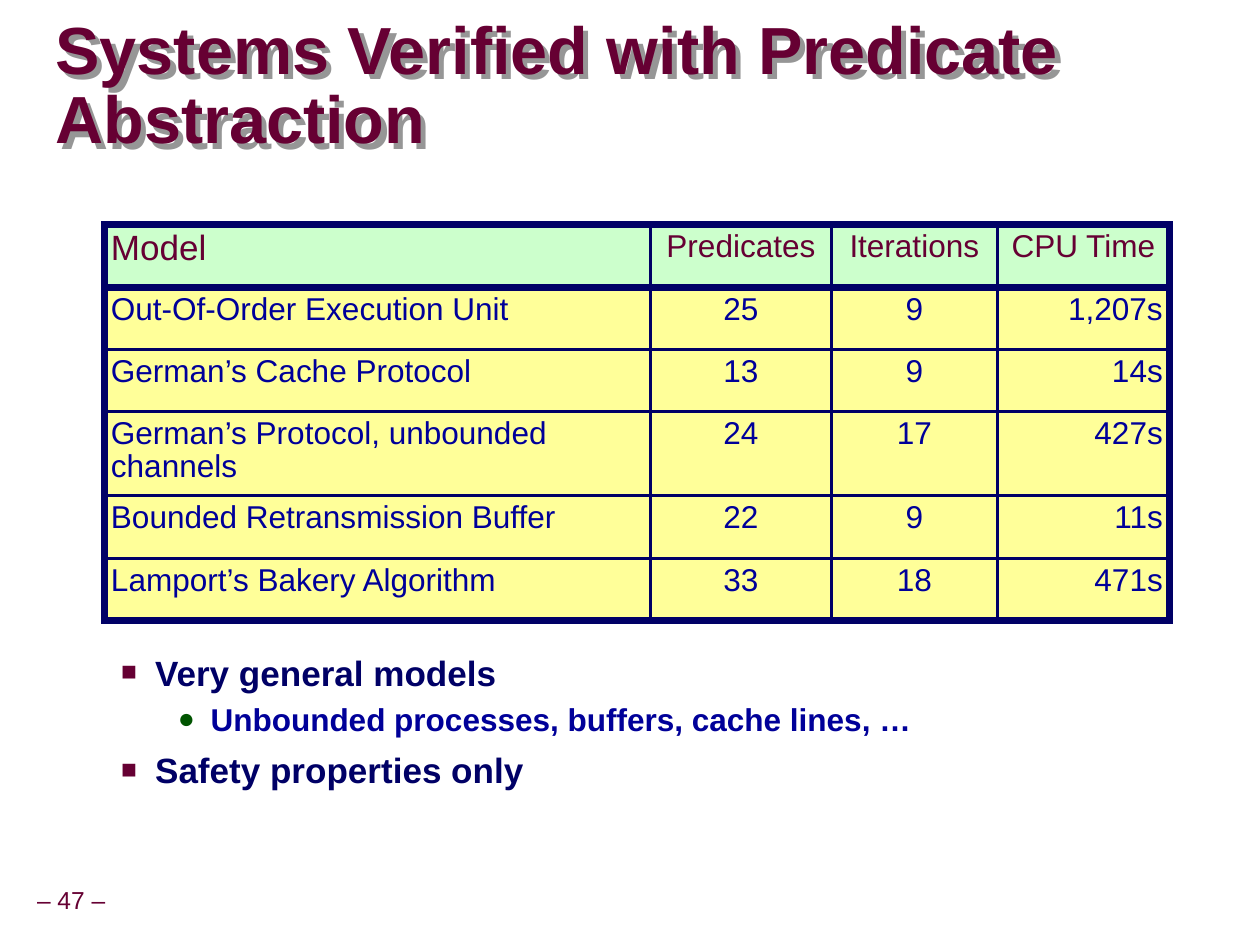
"""Build the slide on systems verified with predicate abstraction."""
from lxml import etree
from pptx import Presentation
from pptx.dml.color import RGBColor
from pptx.enum.text import MSO_ANCHOR, MSO_AUTO_SIZE, PP_ALIGN
from pptx.oxml.ns import qn
from pptx.util import Pt

LEFT, CENTER, RIGHT = PP_ALIGN.LEFT, PP_ALIGN.CENTER, PP_ALIGN.RIGHT
MIDDLE, TOP = MSO_ANCHOR.MIDDLE, MSO_ANCHOR.TOP
NO_FIT = MSO_AUTO_SIZE.NONE
SCALE = 9144
FONT = "Arial"
MAROON, NAVY, BLUE, GREEN, GRAY = "660033", "000066", "000099", "005400", "969696"
HEADER_FILL, ROW_FILL = "CCFFCC", "FFFF99"
THICK, THIN = Pt(4.48), Pt(1.98)


def color(value):
    return RGBColor.from_string(value)


def add_span(para, text, size, value, bold=False):
    span = para.add_run()
    span.text = text
    span.font.size = Pt(size)
    span.font.bold = bold
    span.font.name = FONT
    span.font.color.rgb = color(value)


deck = Presentation()
deck.slide_width, deck.slide_height = 999 * SCALE, 749 * SCALE
page = deck.slides.add_slide(deck.slide_layouts[1])
title, body = page.shapes.title, page.placeholders[1]
number = page.shapes.add_textbox(0, 0, SCALE, SCALE)

frames = [
    (title, (44, 15, 952, 110), (0, 0), MIDDLE, True),
    (body, (32, 511, 907, 155), (10, 5), TOP, True),
    (number, (-9, 699, 131, 31), (5, 5), MIDDLE, False),
]
for box, place, (side, edge), anchor, wrap in frames:
    box.left, box.top, box.width, box.height = [length * SCALE for length in place]
    frame = box.text_frame
    frame.margin_left = frame.margin_right = side * SCALE
    frame.margin_top = frame.margin_bottom = edge * SCALE
    frame.vertical_anchor = anchor
    frame.word_wrap = wrap
    frame.auto_size = NO_FIT

para = title.text_frame.paragraphs[0]
para.alignment = LEFT
para.line_spacing = 0.87
add_span(para, "Systems Verified with Predicate Abstraction", 38, MAROON, True)
title.fill.background()
title.shadow.inherit = False
effects = title._element.spPr.find(qn("a:effectLst"))
shadow = etree.SubElement(effects, qn("a:outerShdw"), dist=str(6 * SCALE), dir="2700000")
etree.SubElement(shadow, qn("a:srgbClr"), val=GRAY)

para = number.text_frame.paragraphs[0]
para.alignment = CENTER
para.line_spacing = 0.9
add_span(para, "– 47 –", 14, MAROON)

levels = {
    1: (81, -27, 1.0, 6.2, "■", MAROON, 75, 20, NAVY),
    2: (125, -26, 1.07, 2.2, "●", GREEN, 90, 18, BLUE),
}
points = [
    (1, "Very general models"),
    (2, "Unbounded processes, buffers, cache lines, …"),
    (1, "Safety properties only"),
]
for index, (level, text) in enumerate(points):
    margin, indent, spacing, before, mark, mark_color, percent, size, value = levels[level]
    frame = body.text_frame
    para = frame.add_paragraph() if index else frame.paragraphs[0]
    para.level = level
    para.alignment = LEFT
    para.line_spacing = spacing
    para.space_before = Pt(before if index else 0)
    props = para._p.get_or_add_pPr()
    props.set("marL", str(margin * SCALE))
    props.set("indent", str(indent * SCALE))
    bullet_color = etree.SubElement(props, qn("a:buClr"))
    etree.SubElement(bullet_color, qn("a:srgbClr"), val=mark_color)
    etree.SubElement(props, qn("a:buSzPct"), val=str(percent * 1000))
    etree.SubElement(props, qn("a:buFont"), typeface=FONT)
    etree.SubElement(props, qn("a:buChar"), char=mark)
    add_span(para, text, size, value, True)

rows = [
    ("Model", "Predicates", "Iterations", "CPU Time"),
    ("Out-Of-Order Execution Unit", "25", "9", "1,207s"),
    ("German’s Cache Protocol", "13", "9", "14s"),
    ("German’s Protocol, unbounded channels", "24", "17", "427s"),
    ("Bounded Retransmission Buffer", "22", "9", "11s"),
    ("Lamport’s Bakery Algorithm", "33", "18", "471s"),
]
widths = [433, 143, 132, 136]
heights = [50, 49, 49, 67, 50, 49]
last_row, last_column = len(rows) - 1, len(widths) - 1
table = page.shapes.add_table(
    len(rows), len(widths), 83 * SCALE, 178 * SCALE,
    sum(widths) * SCALE, sum(heights) * SCALE).table
table.first_row = table.horz_banding = False
for column, width in zip(table.columns, widths):
    column.width = width * SCALE
for row, height in zip(table.rows, heights):
    row.height = height * SCALE

for r, texts in enumerate(rows):
    for c, text in enumerate(texts):
        cell = table.cell(r, c)
        cell.margin_left = cell.margin_right = 5 * SCALE
        cell.margin_top = cell.margin_bottom = 5 * SCALE
        borders = {
            "a:lnL": c == 0,
            "a:lnR": c == last_column,
            "a:lnT": r in (0, 1),
            "a:lnB": r in (0, last_row),
        }
        for tag, thick in borders.items():
            line = etree.SubElement(cell._tc.get_or_add_tcPr(), qn(tag),
                                    w=str(THICK if thick else THIN))
            paint = etree.SubElement(line, qn("a:solidFill"))
            etree.SubElement(paint, qn("a:srgbClr"), val=NAVY)
        cell.fill.solid()
        cell.fill.fore_color.rgb = color(ROW_FILL if r else HEADER_FILL)
        para = cell.text_frame.paragraphs[0]
        para.line_spacing = 0.95
        if c == 0:
            para.alignment = LEFT
        else:
            para.alignment = RIGHT if r and c == last_column else CENTER
        add_span(para, text, 18 if r or c else 20, BLUE if r else MAROON)

deck.save("out.pptx")
